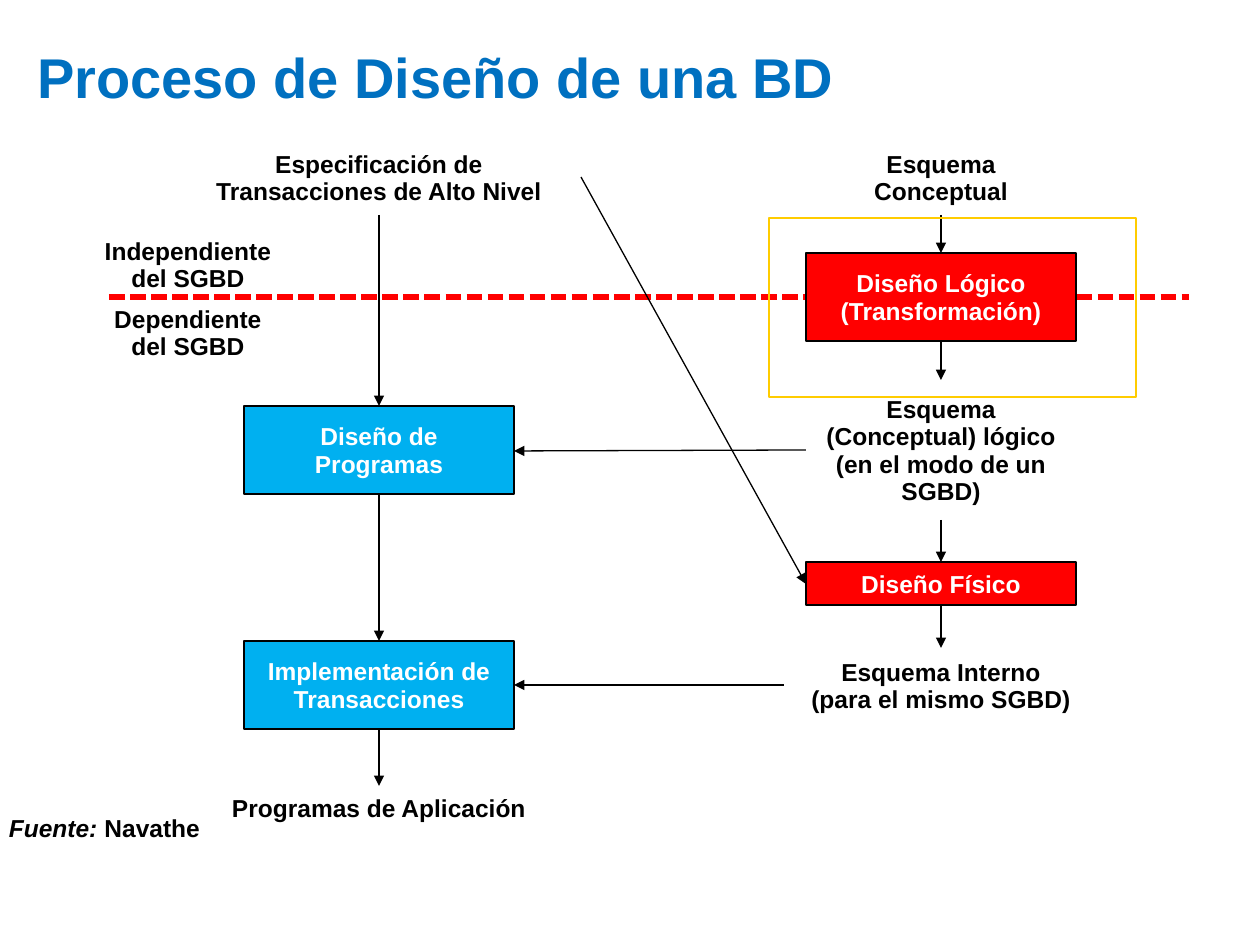
from lxml import etree
from pptx import Presentation
from pptx.dml.color import RGBColor
from pptx.enum.dml import MSO_LINE
from pptx.enum.shapes import MSO_CONNECTOR, MSO_SHAPE
from pptx.enum.text import MSO_ANCHOR, PP_ALIGN
from pptx.oxml.ns import qn
from pptx.util import Emu, Pt

RECT, LINE, DASH = MSO_SHAPE.RECTANGLE, MSO_CONNECTOR.STRAIGHT, MSO_LINE.SQUARE_DOT
TOP, MIDDLE = MSO_ANCHOR.TOP, MSO_ANCHOR.MIDDLE
LEFT, CENTER, RIGHT = PP_ALIGN.LEFT, PP_ALIGN.CENTER, PP_ALIGN.RIGHT

BLACK = RGBColor(0, 0, 0)
WHITE = RGBColor(255, 255, 255)
RED = RGBColor(255, 0, 0)
SKY = RGBColor(0, 176, 240)
BLUE = RGBColor(0, 112, 192)
GOLD = RGBColor(255, 204, 0)

WIDE, HIGH = 1260, 945
MID_L, MID_R = 379, 941
BOX_W, BOX_H, SLIM_H = 270, 88, 43
HALF = BOX_W // 2
EDGE_L, EDGE_R = MID_L + HALF, MID_R - HALF


def px(*nums):
    return [Emu(round(n * 914400 / 126)) for n in nums]


class Sketch:
    """Holds the text style and the slide being drawn."""

    font, size, space = "Arial", 14, 0.93
    pads = (12, 8, 12, 5)

    def __init__(self, slide):
        self.slide = slide

    def text(self, shape, lines, color, size=size, align=CENTER,
             anchor=MIDDLE, pads=pads, space=space):
        frame = shape.text_frame
        frame.word_wrap = True
        frame.vertical_anchor = anchor
        (frame.margin_left, frame.margin_top,
         frame.margin_right, frame.margin_bottom) = px(*pads)
        for i, line in enumerate(lines):
            para = frame.add_paragraph() if i else frame.paragraphs[0]
            para.alignment, para.line_spacing = align, space
            for words, slant in line:
                run = para.add_run()
                run.text = words
                font = run.font
                font.name, font.size = self.font, Pt(size)
                font.bold, font.italic = True, slant
                font.color.rgb = color

    def title(self, words, x, y, w, h):
        shape = self.slide.shapes.title
        shape.left, shape.top, shape.width, shape.height = px(x, y, w, h)
        self.text(shape, plain(words), BLUE, 32, LEFT,
                  pads=(0, 1, 0, 0), space=0.97)

    def label(self, lines, x, y, w, h, **style):
        shape = self.slide.shapes.add_textbox(*px(x, y, w, h))
        self.text(shape, lines, BLACK, **style)

    def frame(self, x, y, w, h, edge):
        shape = self.slide.shapes.add_shape(RECT, *px(x, y, w, h))
        shape.shadow.inherit = False
        shape.fill.background()
        shape.line.color.rgb, shape.line.width = edge, Pt(0.75)
        return shape

    def box(self, lines, mid, y, h, fill):
        shape = self.frame(mid - HALF, y, BOX_W, h, BLACK)
        shape.fill.solid()
        shape.fill.fore_color.rgb = fill
        self.text(shape, lines, WHITE)

    def line(self, x1, y1, x2, y2, color, width):
        link = self.slide.shapes.add_connector(LINE, *px(x1, y1, x2, y2))
        link.line.color.rgb, link.line.width = color, Pt(width)
        etree.SubElement(link._element.spPr, qn("a:effectLst"))
        return link

    def arrow(self, x1, y1, x2, y2):
        link = self.line(x1, y1, x2, y2, BLACK, 0.75)
        edge = link._element.spPr.find(qn("a:ln"))
        etree.SubElement(edge, qn("a:tailEnd"), type="triangle")

    def split(self, x1, x2, y):
        self.line(x1, y, x2, y, RED, 3).line.dash_style = DASH


def plain(*texts):
    return [[(text, False)] for text in texts]


def main():
    deck = Presentation()
    deck.slide_width, deck.slide_height = px(WIDE, HIGH)
    art = Sketch(deck.slides.add_slide(deck.slide_layouts[5]))
    art.title("Proceso de Diseño de una BD", 37, 11, 1252, 135)
    art.split(109, 1189, 297)

    for texts, mid, y, w, h in (
        (["Especificación de Transacciones de Alto Nivel"], MID_L, 140, 404, 75),
        (["Esquema Conceptual"], MID_R, 140, BOX_W, 75),
        (["Independiente", "del SGBD"], 188, 227, 216, 75),
        (["Dependiente", "del SGBD"], 188, 295, 216, 75),
        (["Esquema (Conceptual) lógico (en el modo de un SGBD)"],
         MID_R, 380, BOX_W, 140),
        (["Esquema Interno", "(para el mismo SGBD)"], MID_R, 648, 314, 75),
        (["Programas de Aplicación"], MID_L, 786, 404, 43),
    ):
        art.label(plain(*texts), mid - w // 2, y, w, h)

    for texts, mid, y, h, fill in (
        (["Diseño Lógico", "(Transformación)"], MID_R, 253, BOX_H, RED),
        (["Diseño Físico"], MID_R, 562, SLIM_H, RED),
        (["Diseño de Programas"], MID_L, 406, BOX_H, SKY),
        (["Implementación de Transacciones"], MID_L, 641, BOX_H, SKY),
    ):
        art.box(plain(*texts), mid, y, h, fill)

    for mid, spans in (
        (MID_L, ((215, 406), (494, 641), (729, 786))),
        (MID_R, ((215, 253), (341, 380), (520, 562), (605, 648))),
    ):
        for start, end in spans:
            art.arrow(mid, start, mid, end)
    art.arrow(EDGE_R, 450, EDGE_L, 451)
    art.arrow(784, 685, EDGE_L, 685)
    art.arrow(581, 177, EDGE_R, 584)

    art.label([[("Fuente: ", True), ("Navathe", False)]],
              -28, 808, 240, 44, align=RIGHT, anchor=TOP)
    art.frame(769, 218, 367, 179, GOLD)
    deck.save("out.pptx")


if __name__ == "__main__":
    main()
